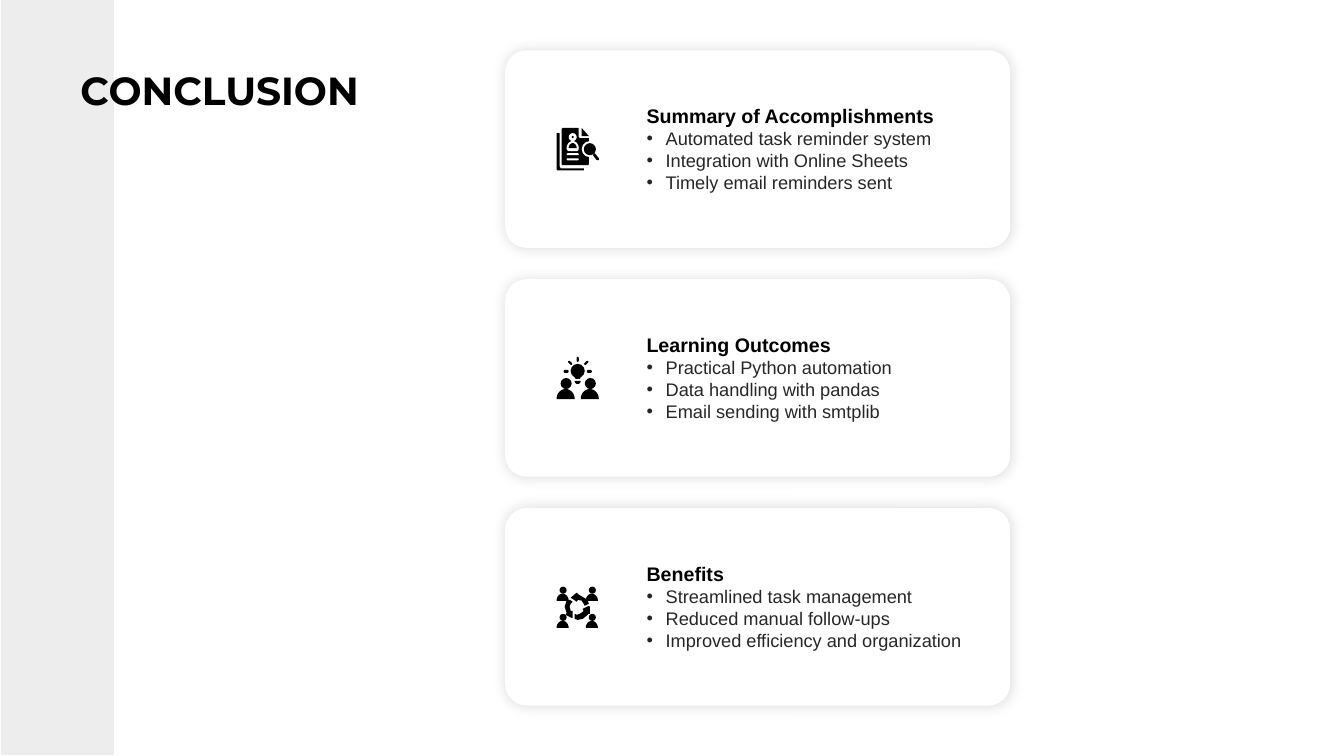
from math import cos, pi, sin
from lxml import etree
from pptx import Presentation
from pptx.dml.color import RGBColor
from pptx.enum.shapes import MSO_SHAPE
from pptx.enum.text import MSO_ANCHOR, PP_ALIGN
from pptx.oxml.ns import qn
from pptx.util import Inches, Pt

RECT, CARD, OVAL = MSO_SHAPE.RECTANGLE, MSO_SHAPE.ROUNDED_RECTANGLE, MSO_SHAPE.OVAL
TOP, LEFT = MSO_ANCHOR.TOP, PP_ALIGN.LEFT

THEME = {
    "black": "000000", "white": "FFFFFF", "band": "EDEDED", "body": "262626",
    "title_font": "Montserrat", "font": "Arial",
    "title_size": 28, "head_size": 14, "body_size": 13,
}
TITLE = "CONCLUSION"

REPORT = [
    ("poly", [(.01, .05), (.04, .05), (.04, .38), (.05, .4), (.28, .4),
              (.28, .42), (.02, .42), (.01, .41)], "black"),
    ("poly", [(.07, 0), (.23, 0), (.23, .09), (.24, .1), (.33, .1),
              (.33, .36), (.32, .37), (.07, .37), (.06, .36), (.06, .01)], "black"),
    ("poly", [(.26, 0), (.26, .08), (.33, .08)], "black"),
    ("oval", (.13, .05, .08, .08), "white"),
    ("oval", (.16, .08, .02, .02), "black"),
    ("dome", (.11, .13, .12, .07), "white"),
    ("bar", (.11, .18, .12, .05), "white"),
    ("dome", (.13, .15, .08, .05), "black"),
    ("bar", (.11, .25, .12, .02), "white"),
    ("bar", (.11, .3, .12, .02), "white"),
    ("oval", (.26, .13, .16, .16), "white"),
    ("oval", (.28, .15, .12, .12), "black"),
    ("poly", [(.37, .27), (.41, .32), (.43, .32), (.43, .3), (.39, .25)], "black"),
]
IDEA = [
    ("bar", (.21, 0, .02, .05), "black"),
    ("bar", (.08, .13, .05, .03), "black"),
    ("bar", (.31, .13, .05, .03), "black"),
    ("bar", (.12, .05, .05, .02, 45), "black"),
    ("bar", (.28, .05, .05, .02, -45), "black"),
    ("oval", (.15, .07, .14, .14), "black"),
    ("bar", (.19, .18, .06, .04), "black"),
    ("dome", (.19, .27, .06, -.03), "black"),
]
for x in (.01, .25):
    IDEA += [("oval", (x + .04, .21, .11, .11), "black"),
             ("dome", (x, .32, .18, .1), "black")]
TEAM = [
    ("poly", [(.32, .28), (.34, .28), (.34, .21), (.33, .2), (.27, .23),
              (.27, .24), (.28, .25), (.27, .26), (.24, .28), (.21, .29),
              (.19, .28), (.19, .33), (.22, .34), (.27, .33), (.32, .29)], "black"),
    ("poly", [(.17, .25), (.15, .25), (.14, .21), (.15, .18), (.17, .16),
              (.14, .14), (.11, .15), (.09, .21), (.11, .27), (.1, .29),
              (.16, .32), (.17, .32)], "black"),
    ("poly", [(.15, .12), (.21, .16), (.22, .15), (.22, .14), (.26, .15),
              (.29, .2), (.33, .18), (.32, .15), (.3, .13), (.23, .09),
              (.22, .08), (.21, .07)], "black"),
]
for x in (.01, .3):
    for y in (.01, .28):
        TEAM += [("oval", (x + .03, y, .07, .07), "black"),
                 ("dome", (x, y + .07, .12, .07), "black")]

CARDS = [
    ("Summary of Accomplishments", REPORT, [
        "Automated task reminder system",
        "Integration with Online Sheets",
        "Timely email reminders sent"]),
    ("Learning Outcomes", IDEA, [
        "Practical Python automation",
        "Data handling with pandas",
        "Email sending with smtplib"]),
    ("Benefits", TEAM, [
        "Streamlined task management",
        "Reduced manual follow-ups",
        "Improved efficiency and organization"]),
]
CARD_X, CARD_Y, CARD_W, CARD_H, STEP = 5.01, .5, 5.01, 1.96, 2.27
ICON_X, ICON_Y = .5, .77


def color(name):
    return RGBColor.from_string(THEME[name])


def paint(shape, name):
    shape.shadow.inherit = False
    shape.fill.solid()
    shape.fill.fore_color.rgb = color(name)
    shape.line.fill.background()
    return shape


def block(shapes, kind, box, name):
    return paint(shapes.add_shape(kind, *map(Inches, box)), name)


def add_run(para, text, size, tint, bold=False, font="font"):
    run = para.add_run()
    run.text = text
    run.font.name = THEME[font]
    run.font.size = Pt(THEME[size])
    run.font.bold = bold
    run.font.color.rgb = color(tint)


def bullet(para):
    props = para._p.get_or_add_pPr()
    props.set("marL", str(Inches(.19)))
    props.set("indent", str(Inches(-.19)))
    etree.SubElement(props, qn("a:buFont")).set("typeface", THEME["font"])
    etree.SubElement(props, qn("a:buChar")).set("char", "•")


def glow(shape):
    effects = shape._element.spPr.find(qn("a:effectLst"))
    shade = etree.SubElement(effects, qn("a:outerShdw"), blurRad=str(Pt(10)),
                             dist="0", dir="5400000", algn="t", rotWithShape="0")
    tint = etree.SubElement(shade, qn("a:srgbClr"), val=THEME["black"])
    etree.SubElement(tint, qn("a:alpha"), val="15000")


def arc(x, y, w, h, steps=16):
    return [(x + w / 2 * (1 - cos(pi * i / steps)),
             y + h - h * sin(pi * i / steps)) for i in range(steps + 1)]


def draw_icon(shapes, parts, left, top):
    group = shapes.add_group_shape().shapes
    for kind, data, tint in parts:
        if kind in ("poly", "dome"):
            dots = arc(*data) if kind == "dome" else data
            dots = [(Inches(left + x), Inches(top + y)) for x, y in dots]
            path = group.build_freeform(*dots[0])
            path.add_line_segments(dots[1:], close=True)
            paint(path.convert_to_shape(), tint)
        else:
            x, y, w, h, *turn = data
            form = OVAL if kind == "oval" else CARD
            part = block(group, form, (left + x, top + y, w, h), tint)
            if kind == "bar":
                part.adjustments[0] = .5
            if turn:
                part.rotation = turn[0]


def draw_card(shapes, top, head, parts, items):
    card = block(shapes, CARD, (CARD_X, top, CARD_W, CARD_H), "white")
    card.adjustments[0] = .109
    glow(card)
    frame = card.text_frame
    frame.word_wrap = True
    frame.vertical_anchor = TOP
    frame.margin_left, frame.margin_top = Inches(1.34), Inches(.47)
    para = frame.paragraphs[0]
    para.alignment = LEFT
    add_run(para, head, "head_size", "black", True)
    for item in items:
        para = frame.add_paragraph()
        para.alignment = LEFT
        bullet(para)
        add_run(para, item, "body_size", "body")
    draw_icon(shapes, parts, CARD_X + ICON_X, top + ICON_Y)


def main():
    deck = Presentation()
    deck.slide_width, deck.slide_height = Inches(13.33), Inches(7.5)
    shapes = deck.slides.add_slide(deck.slide_layouts[6]).shapes
    block(shapes, RECT, (.01, -.01, 1.12, 7.5), "band")
    for i, (head, parts, items) in enumerate(CARDS):
        draw_card(shapes, CARD_Y + i * STEP, head, parts, items)
    title = shapes.add_textbox(*map(Inches, (.7, .61, 3.7, .57))).text_frame
    title.word_wrap = True
    add_run(title.paragraphs[0], TITLE, "title_size", "black", True, "title_font")
    deck.save("out.pptx")


if __name__ == "__main__":
    main()
